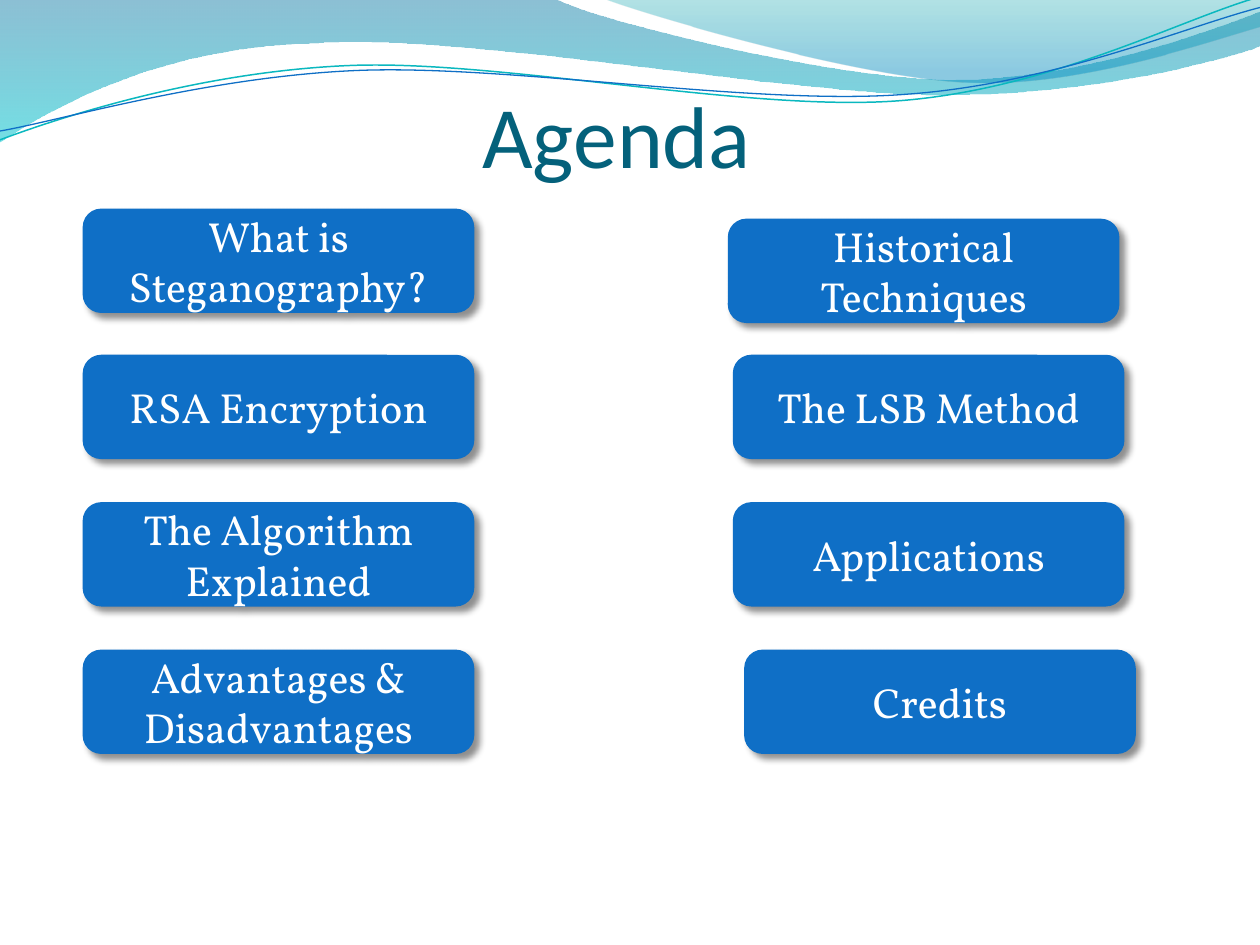
from dataclasses import dataclass
from math import cos, radians, sin

from lxml.etree import SubElement
from pptx import Presentation
from pptx.dml.color import RGBColor
from pptx.enum.shapes import MSO_SHAPE
from pptx.enum.text import MSO_ANCHOR, MSO_AUTO_SIZE, PP_ALIGN
from pptx.oxml.ns import qn
from pptx.util import Inches, Pt

BLUE = "0F6FC6"
WHITE = "FFFFFF"
STRAND_TILT = -2.7

Point = tuple[float, float]
Steps = list[tuple[Point, ...]]


@dataclass(frozen=True)
class Stop:
    position: float
    color: str
    opacity: int


@dataclass(frozen=True)
class Band:
    """A filled wave; a step of one point is a line, of three a Bézier curve."""
    start: Point
    steps: Steps
    stops: tuple[Stop, Stop]


@dataclass(frozen=True)
class Strand:
    start: Point
    steps: Steps
    pivot: Point
    color: str
    width: float


@dataclass(frozen=True)
class Topic:
    text: str
    left: float
    top: float


BANDS = [
    Band((0, 0), [
        ((4.4, -0.01),),
        ((4.76, 0.17), (6.64, 0.63), (7.58, 0.63)),
        ((8.53, 0.63), (9.58, 0.26), (10, 0.09)),
        ((10.01, 0.36),),
        ((9.83, 0.44), (8.7, 0.76), (7.46, 0.75)),
        ((6.22, 0.75), (3.82, 0.28), (2.57, 0.34)),
        ((1.29, 0.36), (0.46, 0.83), (-0.01, 1.13)),
        ((0, 0),),
    ], (Stop(0, "0074A1", 45), Stop(1, "00C6CF", 55))),
    Band((4.79, -0.01), [
        ((5.09, 0.11), (6.82, 0.62), (7.69, 0.65)),
        ((8.56, 0.69), (9.61, 0.32), (10, 0.21)),
        ((10, 0),),
        ((4.79, -0.01),),
    ], (Stop(0, "00A1A9", 30), Stop(0.8, "008BBF", 45))),
]
STRANDS = [
    Strand((0, 1.11), [
        ((0.48, 0.93), (1.58, 0.57), (2.77, 0.52)),
        ((3.95, 0.47), (5.93, 0.89), (7.13, 0.8)),
        ((8.33, 0.71), (9.38, 0.15), (9.98, -0.02)),
    ], (4.99, 0.57), "0AB8BF", 0.85),
    Strand((0, 1.04), [
        ((0.47, 0.96), (1.64, 0.61), (2.83, 0.56)),
        ((4.03, 0.51), (5.97, 0.84), (7.17, 0.75)),
        ((8.36, 0.67), (9.41, 0.21), (10, 0.06)),
    ], (5, 0.59), BLUE, 0.75),
]

LEFT, RIGHT = 0.67, 5.83
ROWS = [1.67, 2.83, 4, 5.17]
TOPICS = [
    Topic("What is Steganography?", LEFT, ROWS[0]),
    Topic("Historical Techniques", 5.79, 1.75),
    Topic("RSA Encryption", LEFT, ROWS[1]),
    Topic("The LSB Method", RIGHT, ROWS[1]),
    Topic("Advantages & Disadvantages", LEFT, ROWS[3]),
    Topic("The Algorithm Explained", LEFT, ROWS[2]),
    Topic("Applications", RIGHT, ROWS[2]),
    Topic("Credits", 5.92, ROWS[3]),
]


def rgb(color: str) -> RGBColor:
    return RGBColor.from_string(color)


def turn(point: Point, pivot: Point, degrees: float) -> Point:
    angle = radians(degrees)
    across, down = point[0] - pivot[0], point[1] - pivot[1]
    return (pivot[0] + across * cos(angle) - down * sin(angle),
            pivot[1] + across * sin(angle) + down * cos(angle))


def draw_outline(page, start: Point, steps: Steps, close: bool):
    corners = [(Inches(x), Inches(y)) for step in [(start,), *steps] for x, y in step]
    builder = page.shapes.build_freeform(*corners[0])
    builder.add_line_segments(corners[1:], close=close)
    shape = builder.convert_to_shape()
    shape.shadow.inherit = False
    bend_curves(shape, steps)
    return shape


def bend_curves(shape, steps: Steps) -> None:
    """Merge the three segments of each curved step into one Bézier curve."""
    outline = shape.element.spPr.find(f".//{qn('a:path')}")
    segments = iter(outline.findall(qn("a:lnTo")))
    for step in steps:
        parts = [next(segments) for _ in step]
        if len(parts) == 3:
            curve = SubElement(outline, qn("a:cubicBezTo"))
            parts[0].addprevious(curve)
            for part in parts:
                curve.append(part[0])
                outline.remove(part)


def set_opacity(color_element, percent: int) -> None:
    SubElement(color_element, qn("a:alpha"), val=str(percent * 1000))


def draw_band(page, band: Band) -> None:
    shape = draw_outline(page, band.start, band.steps, close=True)
    shape.line.fill.background()
    shape.fill.gradient()
    shape.fill.gradient_angle = 270
    for target, stop in zip(shape.fill.gradient_stops, band.stops):
        target.position = stop.position
        target.color.rgb = rgb(stop.color)
    colors = shape.element.spPr.iterfind(f".//{qn('a:gs')}/{qn('a:srgbClr')}")
    for color, stop in zip(colors, band.stops):
        set_opacity(color, stop.opacity)


def draw_strand(page, strand: Strand) -> None:
    start, *steps = [tuple(turn(point, strand.pivot, -STRAND_TILT) for point in step)
                     for step in [(strand.start,), *strand.steps]]
    shape = draw_outline(page, start[0], steps, close=False)
    shape.rotation = STRAND_TILT
    shape.fill.background()
    shape.line.color.rgb = rgb(strand.color)
    shape.line.width = Pt(strand.width)


def write(frame, text: str, *, font: str, size: float, color: str,
          anchor: MSO_ANCHOR) -> None:
    frame.word_wrap = True
    frame.auto_size = MSO_AUTO_SIZE.NONE
    frame.vertical_anchor = anchor
    para = frame.paragraphs[0]
    para.alignment = PP_ALIGN.CENTER
    span = para.add_run()
    span.text = text
    span.font.name = font
    span.font.size = Pt(size)
    span.font.color.rgb = rgb(color)


def add_shadow(shape) -> None:
    shape.shadow.inherit = False
    effects = shape.element.spPr.find(qn("a:effectLst"))
    shadow = SubElement(effects, qn("a:outerShdw"), blurRad=str(Pt(4)),
                        dist=str(Pt(4)), dir=str(45 * 60000), rotWithShape="0")
    set_opacity(SubElement(shadow, qn("a:srgbClr"), val="000000"), 43)


def draw_topic(page, topic: Topic) -> None:
    box = page.shapes.add_shape(MSO_SHAPE.ROUNDED_RECTANGLE, Inches(topic.left),
                                Inches(topic.top), Inches(3.08), Inches(0.8))
    box.fill.solid()
    box.fill.fore_color.rgb = rgb(BLUE)
    box.line.color.rgb = rgb(BLUE)
    box.line.width = Pt(2)
    add_shadow(box)
    write(box.text_frame, topic.text, font="Vollkorn", size=24, color=WHITE,
          anchor=MSO_ANCHOR.MIDDLE)


def place_title(page) -> None:
    title = page.shapes.title
    title.left, title.top = Inches(0.42), Inches(0.58)
    title.width, title.height = Inches(8.95), Inches(0.9)
    frame = title.text_frame
    frame.margin_left = frame.margin_right = frame.margin_bottom = 0
    frame.margin_top = Inches(0.05)
    write(frame, "Agenda", font="Calibri", size=50, color="04617B",
          anchor=MSO_ANCHOR.BOTTOM)
    title.element.getparent().append(title.element)  # in front of the waves


def main() -> None:
    deck = Presentation()
    deck.slide_width, deck.slide_height = Inches(10), Inches(7.5)
    page = deck.slides.add_slide(deck.slide_layouts[5])
    for band in BANDS:
        draw_band(page, band)
    for strand in STRANDS:
        draw_strand(page, strand)
    place_title(page)
    for topic in TOPICS:
        draw_topic(page, topic)
    deck.save("out.pptx")


if __name__ == "__main__":
    main()
